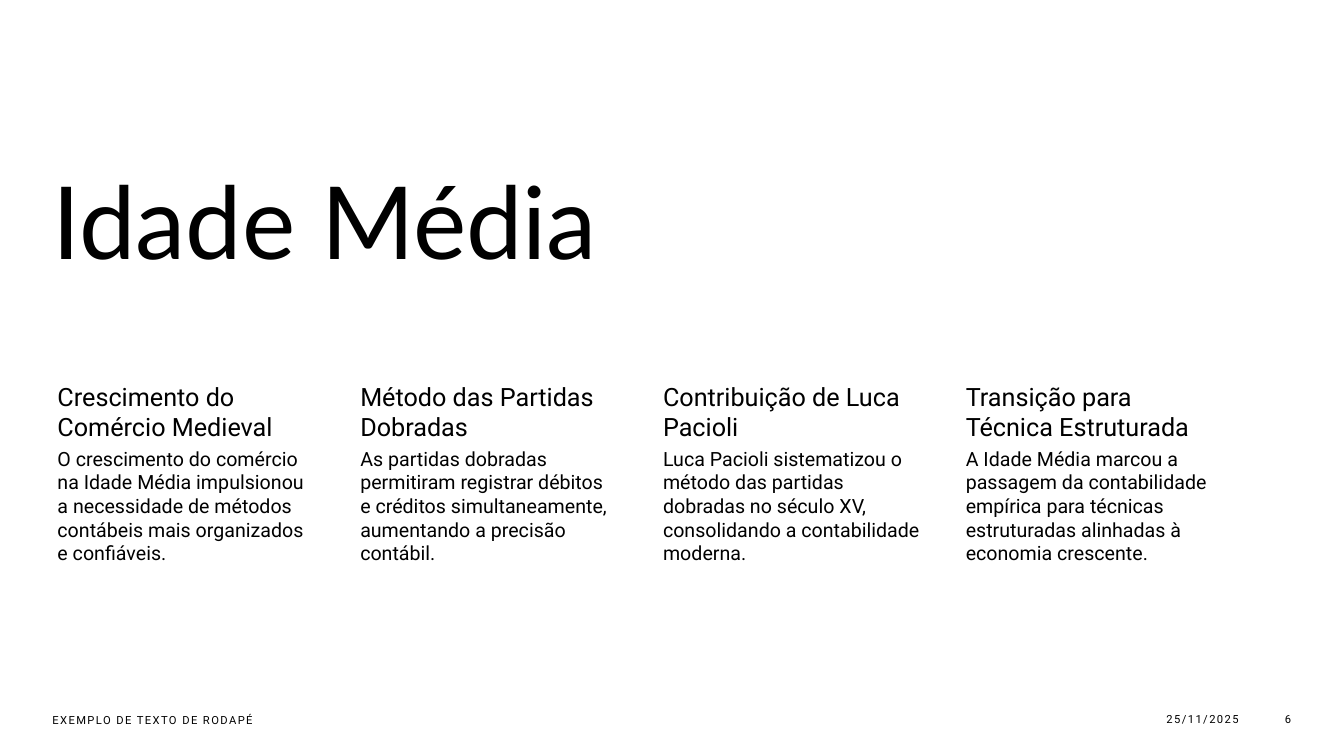
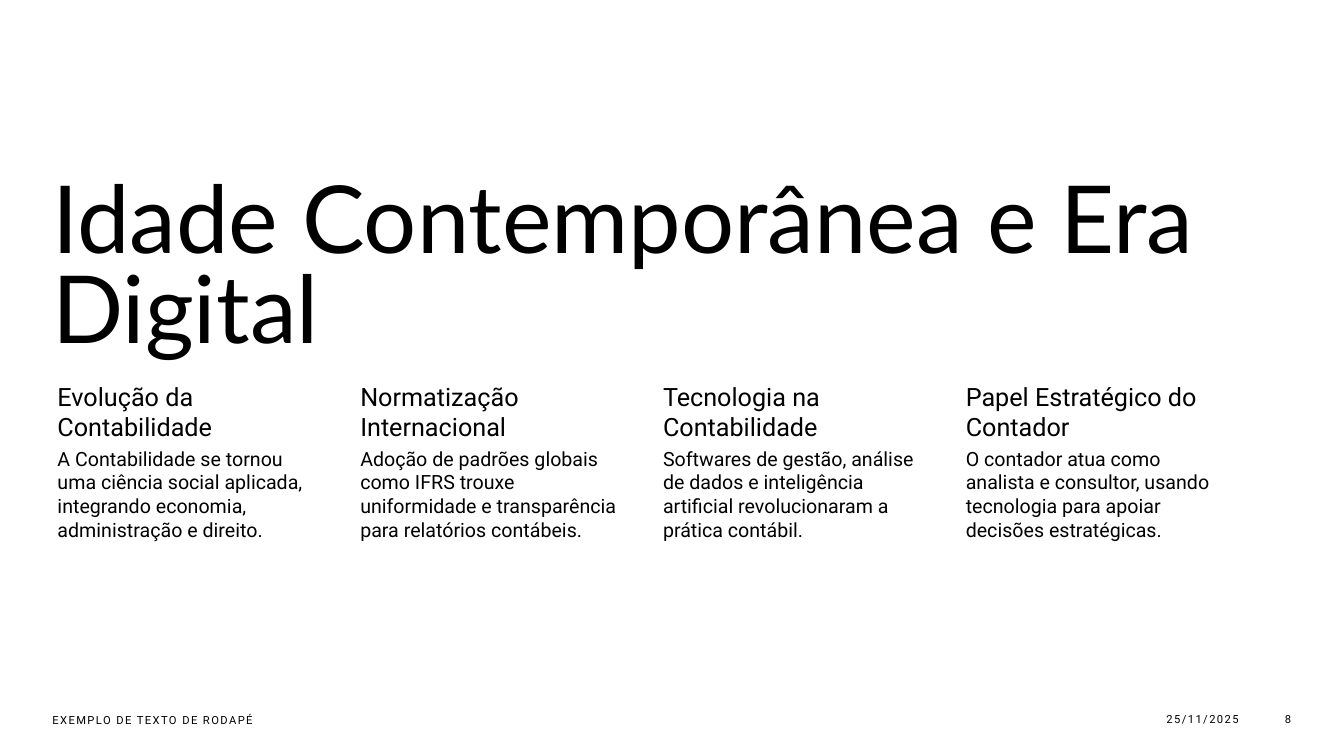
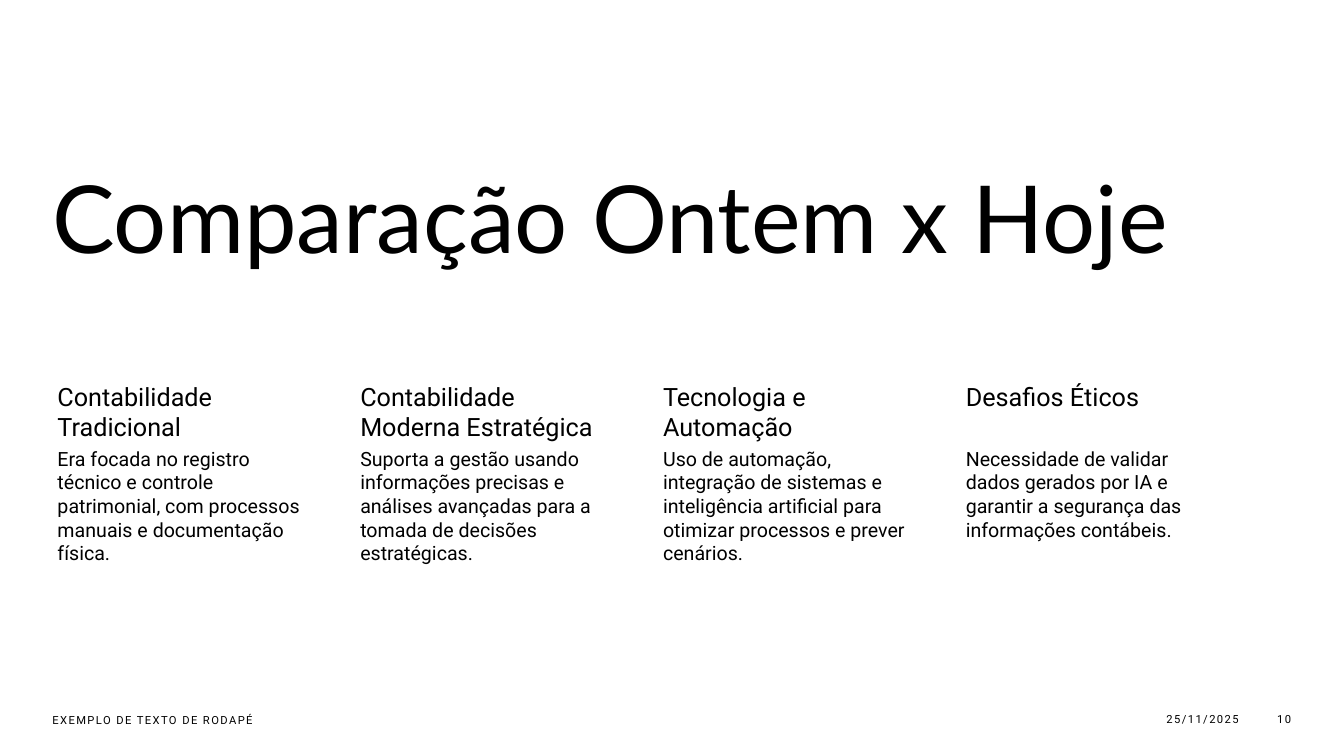
from pptx import Presentation
from pptx.dml.color import RGBColor
from pptx.enum.text import MSO_ANCHOR, PP_ALIGN
from pptx.util import Cm, Pt


def color(hex_text):
    return RGBColor.from_string(hex_text)


def write(box, text, font="Roboto", size=14, ink="000000", align=PP_ALIGN.LEFT,
          anchor=MSO_ANCHOR.TOP, insets=(0.25, 0.13, 0.25, 0.13),
          line_spacing=None, tracking=None):
    frame = box.text_frame
    frame.word_wrap = True
    frame.vertical_anchor = anchor
    left, top, right, bottom = insets
    frame.margin_left, frame.margin_top = Cm(left), Cm(top)
    frame.margin_right, frame.margin_bottom = Cm(right), Cm(bottom)
    para = frame.paragraphs[0]
    para.alignment = align
    if line_spacing:
        para.line_spacing = line_spacing
    span = para.add_run()
    span.text = text
    span.font.name = font
    span.font.size = Pt(size)
    span.font.color.rgb = color(ink)
    if tracking:
        span.font._element.set("spc", str(tracking * 100))


class Slides:
    """Holds the deck, its shared style and the page being built."""

    paper = "FFFFFF"
    margin = 1.07
    column_width = 6.93
    column_gap = 0.7
    heading_top = 9.53
    heading_height = 1.68
    detail_height = 5.94
    footer_text = "EXEMPLO DE TEXTO DE RODAPÉ"
    date_text = "25/11/2025"

    def __init__(self):
        self.deck = Presentation()
        self.deck.slide_width = Cm(33.87)
        self.deck.slide_height = Cm(19.05)
        self.page = None

    def add_page(self):
        self.page = self.deck.slides.add_slide(self.deck.slide_layouts[6])
        self.page.background.fill.solid()
        self.page.background.fill.fore_color.rgb = color(self.paper)

    def text(self, text, left, top, width, height, **style):
        box = self.page.shapes.add_textbox(Cm(left), Cm(top), Cm(width), Cm(height))
        write(box, text, **style)

    def title(self, text, size):
        self.text(text, self.margin, 4.45, 29.85, 5.08,
                  font="Lato", size=size, line_spacing=0.8)

    def columns(self, entries):
        detail_top = self.heading_top + self.heading_height
        for index, (heading, detail) in enumerate(entries):
            left = self.margin + index * (self.column_width + self.column_gap)
            self.text(heading, left, self.heading_top, self.column_width,
                      self.heading_height, size=18, insets=(0.38, 0.08, 0.08, 0.08))
            self.text(detail, left, detail_top, self.column_width,
                      self.detail_height, insets=(0.38, 0.05, 0.05, 0.05))

    def footer(self, number):
        for text, left, top, width, align in (
            (self.footer_text, self.margin, 17.63, 8.89, PP_ALIGN.LEFT),
            (self.date_text, 26.47, 17.6, 5, PP_ALIGN.RIGHT),
            (str(number), 31.6, 17.6, 1.19, PP_ALIGN.RIGHT),
        ):
            self.text(text, left, top, width, 1.02, size=8, align=align,
                      anchor=MSO_ANCHOR.MIDDLE, tracking=1)


PAGES = [
    ("Idade Média", 72, 6, [
        ("Crescimento do Comércio Medieval",
         "O crescimento do comércio na Idade Média impulsionou a necessidade de "
         "métodos contábeis mais organizados e confiáveis."),
        ("Método das Partidas Dobradas",
         "As partidas dobradas permitiram registrar débitos e créditos "
         "simultaneamente, aumentando a precisão contábil."),
        ("Contribuição de Luca Pacioli",
         "Luca Pacioli sistematizou o método das partidas dobradas no século XV, "
         "consolidando a contabilidade moderna."),
        ("Transição para Técnica Estruturada",
         "A Idade Média marcou a passagem da contabilidade empírica para técnicas "
         "estruturadas alinhadas à economia crescente."),
    ]),
    ("Idade Contemporânea e Era Digital", 67, 8, [
        ("Evolução da Contabilidade",
         "A Contabilidade se tornou uma ciência social aplicada, integrando "
         "economia, administração e direito."),
        ("Normatização Internacional",
         "Adoção de padrões globais como IFRS trouxe uniformidade e transparência "
         "para relatórios contábeis."),
        ("Tecnologia na Contabilidade",
         "Softwares de gestão, análise de dados e inteligência artificial "
         "revolucionaram a prática contábil."),
        ("Papel Estratégico do Contador",
         "O contador atua como analista e consultor, usando tecnologia para apoiar "
         "decisões estratégicas."),
    ]),
    ("Comparação Ontem x Hoje", 67, 10, [
        ("Contabilidade Tradicional",
         "Era focada no registro técnico e controle patrimonial, com processos "
         "manuais e documentação física."),
        ("Contabilidade Moderna Estratégica",
         "Suporta a gestão usando informações precisas e análises avançadas para a "
         "tomada de decisões estratégicas."),
        ("Tecnologia e Automação",
         "Uso de automação, integração de sistemas e inteligência artificial para "
         "otimizar processos e prever cenários."),
        ("Desafios Éticos",
         "Necessidade de validar dados gerados por IA e garantir a segurança das "
         "informações contábeis."),
    ]),
]


def main():
    slides = Slides()
    for title, size, number, entries in PAGES:
        slides.add_page()
        slides.title(title, size)
        slides.columns(entries)
        slides.footer(number)
    slides.deck.save("out.pptx")


if __name__ == "__main__":
    main()
